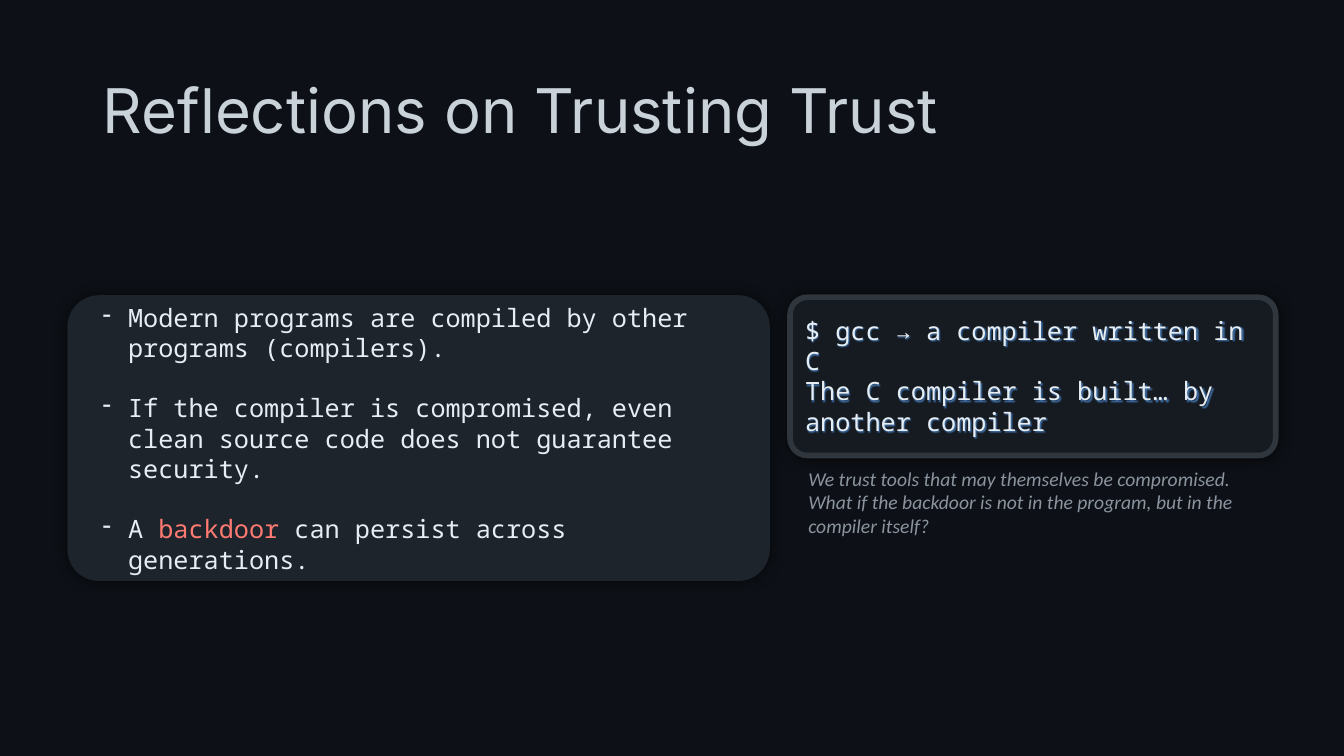
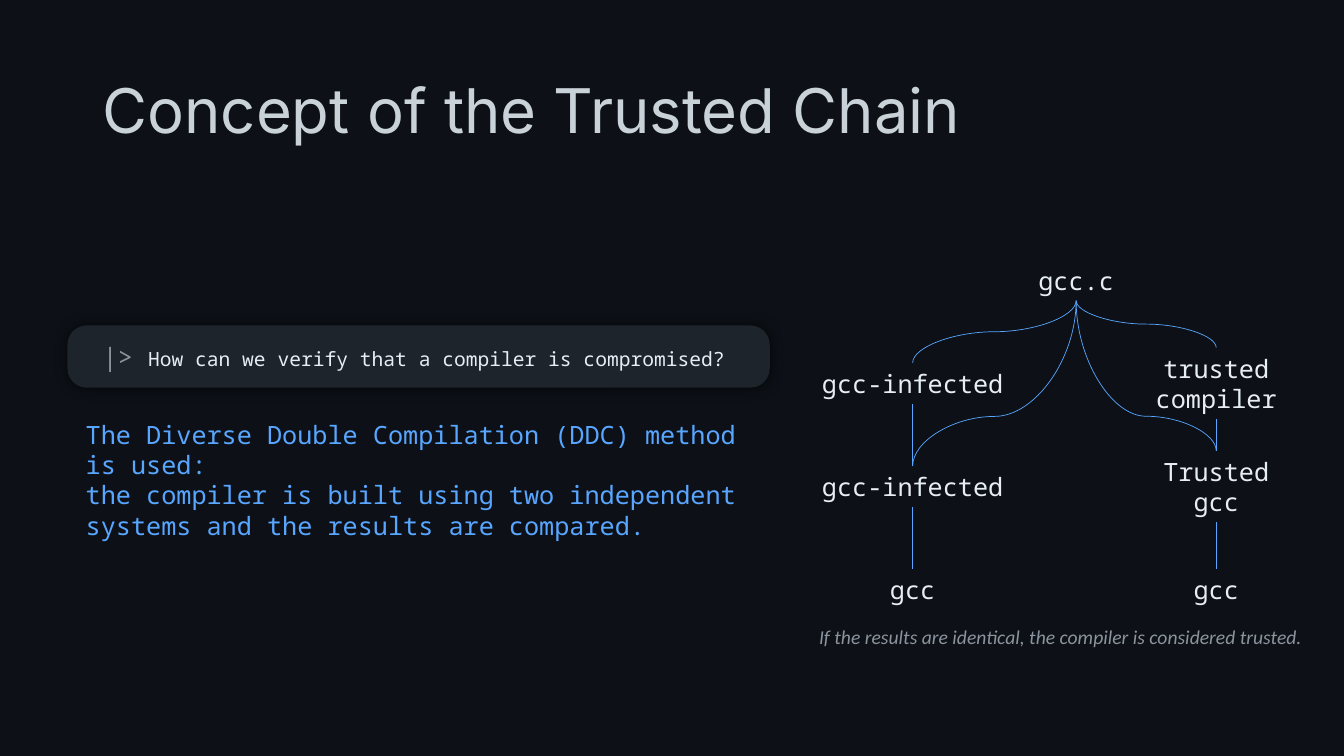
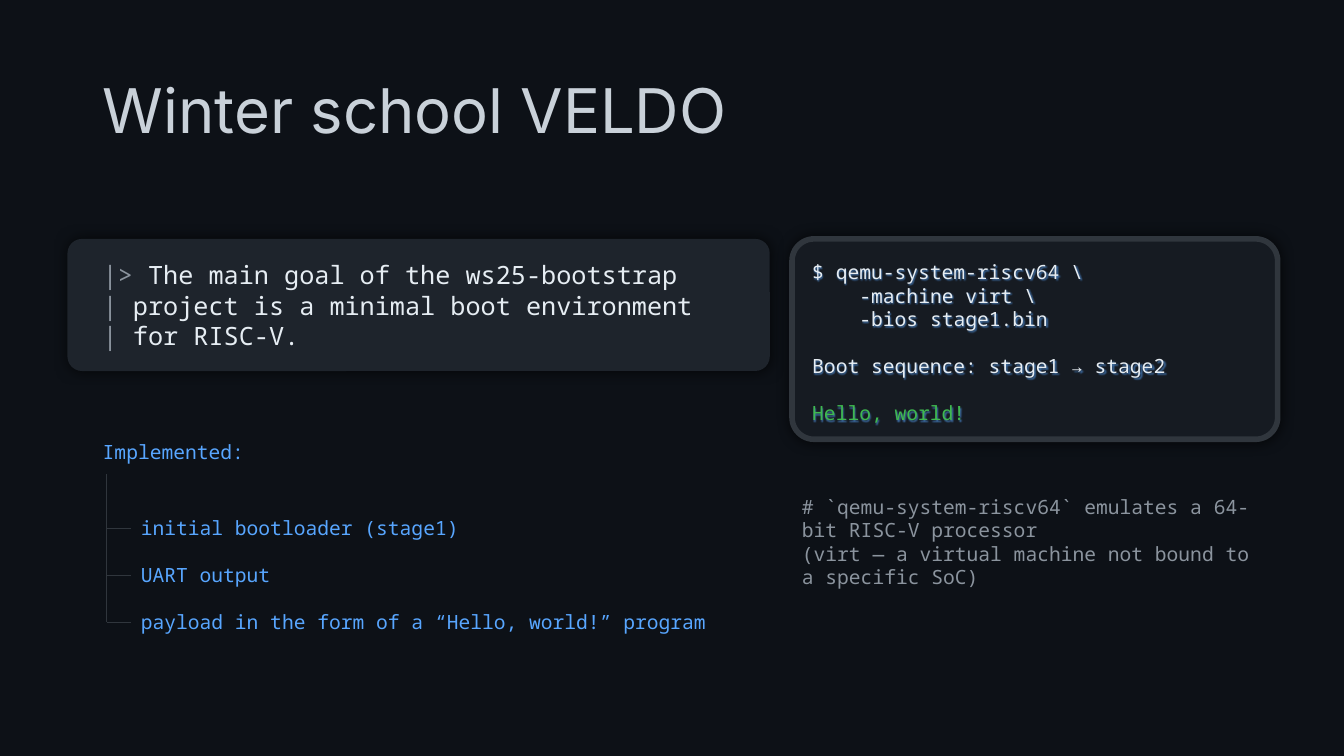
from dataclasses import dataclass

from lxml import etree
from pptx import Presentation
from pptx.dml.color import RGBColor
from pptx.enum.shapes import MSO_CONNECTOR, MSO_SHAPE
from pptx.enum.text import MSO_ANCHOR, PP_ALIGN
from pptx.oxml.ns import qn
from pptx.util import Cm, Pt

ROUNDED = MSO_SHAPE.ROUNDED_RECTANGLE
STRAIGHT, CURVE = MSO_CONNECTOR.STRAIGHT, MSO_CONNECTOR.CURVE
TOP, MIDDLE = MSO_ANCHOR.TOP, MSO_ANCHOR.MIDDLE
LEFT, CENTER = PP_ALIGN.LEFT, PP_ALIGN.CENTER

COLORS = {
    "background": "0D1117",
    "title": "C9D1D9",
    "text": "E6EDF3",
    "muted": "8B949E",
    "accent": "58A6FF",
    "danger": "FF7B72",
    "success": "3FB950",
    "panel": "1E242C",
    "terminal": "161B22",
    "border": "30363D",
    "shadow": "000000",
}
TITLE_FONT, CODE_FONT, NOTE_FONT = "Inter", "Noto Sans Mono", "Calibri"
LARGE, SMALL = 18, 14
LINE_HEIGHT = 1.2

PANEL_LEFT, PANEL_WIDTH = 1.7, 17.7
BODY_LEFT, BODY_WIDTH = 2.34, 16.6
TERMINAL_WIDTH = 12.24
ROW_TOP, ROW_PITCH = 7.06, 2.6


@dataclass
class Line:
    text: str = ""
    runs: tuple = ()
    blank_before: int = 0
    indent: float = 0
    bullet: str = ""


@dataclass
class Node:
    text: str
    x: float
    row: int
    width: float
    height: float = 1.03

    @property
    def top(self):
        return ROW_TOP + self.row * ROW_PITCH - self.height / 2

    @property
    def bottom(self):
        return self.top + self.height


def color(name):
    return RGBColor.from_string(COLORS[name])


def lengths(*values):
    return [Cm(value) for value in values]


def add_shadow(shape, color_name, alpha, blur, distance):
    properties = shape._element.spPr
    for effects in properties.findall(qn("a:effectLst")):
        properties.remove(effects)
    effects = etree.SubElement(properties, qn("a:effectLst"))
    shadow = etree.SubElement(effects, qn("a:outerShdw"), blurRad=str(Pt(blur)),
                              dist=str(Pt(distance)), dir="2700000", rotWithShape="0")
    tint = etree.SubElement(shadow, qn("a:srgbClr"), val=COLORS[color_name])
    etree.SubElement(tint, qn("a:alpha"), val=str(alpha * 1000))


def format_paragraph(paragraph, line, size):
    paragraph.space_before = Pt(line.blank_before * size * LINE_HEIGHT)
    if line.indent:
        properties = paragraph._p.get_or_add_pPr()
        margin = Cm(line.indent)
        properties.set("marL", str(margin))
        properties.set("indent", str(-margin if line.bullet else 0))
        if line.bullet:
            etree.SubElement(properties, qn("a:buChar"), char=line.bullet)


def add_text(slide, box, lines, size=LARGE, color_name="text", font=CODE_FONT,
             anchor=TOP, align=LEFT, italic=False):
    shape = slide.shapes.add_textbox(*lengths(*box))
    frame = shape.text_frame
    frame.word_wrap = True
    frame.vertical_anchor = anchor
    for index, line in enumerate(lines):
        paragraph = frame.add_paragraph() if index else frame.paragraphs[0]
        paragraph.alignment = align
        format_paragraph(paragraph, line, size)
        for text, run_color, run_size in line.runs or [(line.text, color_name, size)]:
            run = paragraph.add_run()
            run.text = text
            run.font.name = font
            run.font.size = Pt(run_size)
            run.font.italic = italic
            run.font.color.rgb = color(run_color)
    return shape


def add_title(slide, text):
    shape = add_text(slide, (2.34, 1.02, 29.2, 3.68), [Line(text)], 44, "title",
                     TITLE_FONT, MIDDLE)
    shape.text_frame.paragraphs[0].line_spacing = 0.9


def add_note(slide, box, texts, align=LEFT):
    add_text(slide, box, [Line(text) for text in texts], SMALL, "muted",
             NOTE_FONT, align=align, italic=True)


def add_box(slide, box, fill, radius=0.11, bordered=False):
    shape = slide.shapes.add_shape(ROUNDED, *lengths(*box))
    shape.adjustments[0] = radius
    shape.fill.solid()
    shape.fill.fore_color.rgb = color(fill)
    if bordered:
        shape.line.color.rgb = color("border")
        shape.line.width = Pt(4)
    else:
        shape.line.fill.background()
    add_shadow(shape, "shadow", 70, 10, 0)


def add_panel(slide, top, height, lines, radius=0.11):
    add_box(slide, (PANEL_LEFT, top, PANEL_WIDTH, height), "panel", radius)
    add_text(slide, (BODY_LEFT, top, BODY_WIDTH, height), lines, anchor=MIDDLE)


def add_terminal(slide, left, top, height, text_box, lines, size):
    add_box(slide, (left, top, TERMINAL_WIDTH, height), "terminal", bordered=True)
    shape = add_text(slide, text_box, lines, size)
    add_shadow(shape, "accent", 60, 1, 1)


def add_line(slide, start, end, color_name, kind=STRAIGHT):
    connector = slide.shapes.add_connector(kind, *lengths(*start, *end))
    connector.line.color.rgb = color(color_name)
    connector.line.width = Pt(0.5)
    etree.SubElement(connector._element.spPr, qn("a:effectLst"))
    return connector


def add_curve(slide, start, end, bend):
    (x1, y1), (x2, y2) = start, end
    middle_x, middle_y = (x1 + x2) / 2, (y1 + y2) / 2
    side = 1 if x2 > x1 else -1
    half_length, half_width = side * (y2 - y1) / 2, abs(x2 - x1) / 2
    connector = add_line(slide, (middle_x + half_length, middle_y - half_width),
                         (middle_x - half_length, middle_y + half_width), "accent", CURVE)
    properties = connector._element.spPr
    properties.find(qn("a:xfrm")).set("rot", "16200000" if side > 0 else "5400000")
    adjustments = properties.find(qn("a:prstGeom")).get_or_add_avLst()
    etree.SubElement(adjustments, qn("a:gd"), name="adj1", fmla=f"val {round(bend * 100000)}")


def add_node(slide, node):
    box = (node.x - node.width / 2, node.top, node.width, node.height)
    add_text(slide, box, [Line(text) for text in node.text.split("\n")],
             anchor=MIDDLE, align=CENTER)


def add_edge(slide, upper, lower, bend=0.5):
    start, end = (upper.x, upper.bottom), (lower.x, lower.top)
    if upper.x == lower.x:
        add_line(slide, start, end, "accent")
    else:
        add_curve(slide, start, end, bend)


def build_trust(slide):
    add_title(slide, "Reflections on Trusting Trust")
    bullet = {"indent": 0.64, "bullet": "-"}
    add_panel(slide, 7.44, 7.2, [
        Line("Modern programs are compiled by other programs (compilers).", **bullet),
        Line("If the compiler is compromised, even clean source code does not "
             "guarantee security.", blank_before=1, **bullet),
        Line(runs=(("A ", "text", LARGE), ("backdoor", "danger", LARGE),
                   (" can persist across generations.", "text", LARGE)),
             blank_before=1, **bullet),
    ])
    add_terminal(slide, 19.91, 7.49, 3.99, (20.04, 7.82, 11.96, 3.33), [
        Line("$ gcc → a compiler written in C"),
        Line("The C compiler is built… by another compiler"),
    ], LARGE)
    add_note(slide, (20.12, 11.63, 11.86, 2.06), [
        "We trust tools that may themselves be compromised.",
        "What if the backdoor is not in the program, but in the compiler itself?",
    ])


def build_chain(slide):
    add_title(slide, "Concept of the Trusted Chain")
    question = "How can we verify that a compiler is compromised?"
    add_panel(slide, 8.2, 1.57, [
        Line(runs=(("|> ", "muted", LARGE), (question, "text", SMALL))),
    ], radius=0.31)
    add_text(slide, (1.91, 10.44, 16.94, 3.33), [
        Line("The Diverse Double Compilation (DDC) method is used:"),
        Line("the compiler is built using two independent systems and the "
             "results are compared."),
    ], color_name="accent")

    infected_x, source_x, trusted_x = 23, 27.12, 30.65
    source = Node("gcc.c", source_x, 0, 2.46)
    infected = Node("gcc-infected", infected_x, 1, 5.2)
    infected_next = Node("gcc-infected", infected_x, 2, 5.2)
    infected_result = Node("gcc", infected_x, 3, 1.75)
    trusted = Node("trusted compiler", trusted_x, 1, 3.63, 1.8)
    trusted_next = Node("Trusted\ngcc", trusted_x, 2, 3.63, 1.8)
    trusted_result = Node("gcc", trusted_x, 3, 1.75)
    for node in (source, infected, infected_next, infected_result,
                 trusted, trusted_next, trusted_result):
        add_node(slide, node)
    for upper, lower, bend in (
        (source, infected, 0.5), (source, trusted, 0.5),
        (source, infected_next, 0.7), (source, trusted_next, 0.77),
        (infected, infected_next, 0), (infected_next, infected_result, 0),
        (trusted, trusted_next, 0), (trusted_next, trusted_result, 0),
    ):
        add_edge(slide, upper, lower, bend)
    add_note(slide, (19.86, 15.62, 13.74, 0.86),
             ["If the results are identical, the compiler is considered trusted."], CENTER)


def build_school(slide):
    add_title(slide, "Winter school VELDO")
    goal = (("|>", " The main goal of the ws25-bootstrap"),
            ("|", " project is a minimal boot environment"),
            ("|", " for RISC-V."))
    add_panel(slide, 6.02, 3.33, [
        Line(runs=((prompt, "muted", LARGE), (text, "text", LARGE)))
        for prompt, text in goal
    ])

    add_text(slide, (2.34, 10.97, 5.18, 0.86), [Line("Implemented:")], SMALL, "accent")
    features = ("initial bootloader (stage1)", "UART output",
                "payload in the form of a “Hello, world!” program")
    add_text(slide, (3.3, 12.88, 16.94, 3.25), [
        Line(feature, blank_before=min(index, 1)) for index, feature in enumerate(features)
    ], SMALL, "accent")
    trunk_x, first_branch, branch_pitch = 2.69, 13.32, 1.18
    branches = [first_branch + index * branch_pitch for index in range(len(features))]
    add_line(slide, (trunk_x, 11.94), (trunk_x, branches[-1]), "border")
    for branch_y in branches:
        add_line(slide, (trunk_x, branch_y), (3.31, branch_y), "border")

    add_terminal(slide, 19.96, 6.02, 5.05, (20.22, 6.43, 12.07, 4.45), [
        Line("$ qemu-system-riscv64 \\"),
        Line("-machine virt \\", indent=1.19),
        Line("-bios stage1.bin", indent=1.19),
        Line("Boot sequence: stage1 → stage2", blank_before=1),
        Line(runs=(("Hello, world!", "success", SMALL),), blank_before=1),
    ], SMALL)
    add_text(slide, (19.96, 12.34, 12.07, 2.64), [
        Line("# `qemu-system-riscv64` emulates a 64-bit RISC-V processor"),
        Line("(virt — a virtual machine not bound to a specific SoC)"),
    ], SMALL, "muted")


def main():
    presentation = Presentation()
    presentation.slide_width, presentation.slide_height = lengths(33.87, 19.05)
    background = presentation.slide_master.background.fill
    background.solid()
    background.fore_color.rgb = color("background")
    for build in (build_trust, build_chain, build_school):
        build(presentation.slides.add_slide(presentation.slide_layouts[6]))
    presentation.save("out.pptx")


if __name__ == "__main__":
    main()
